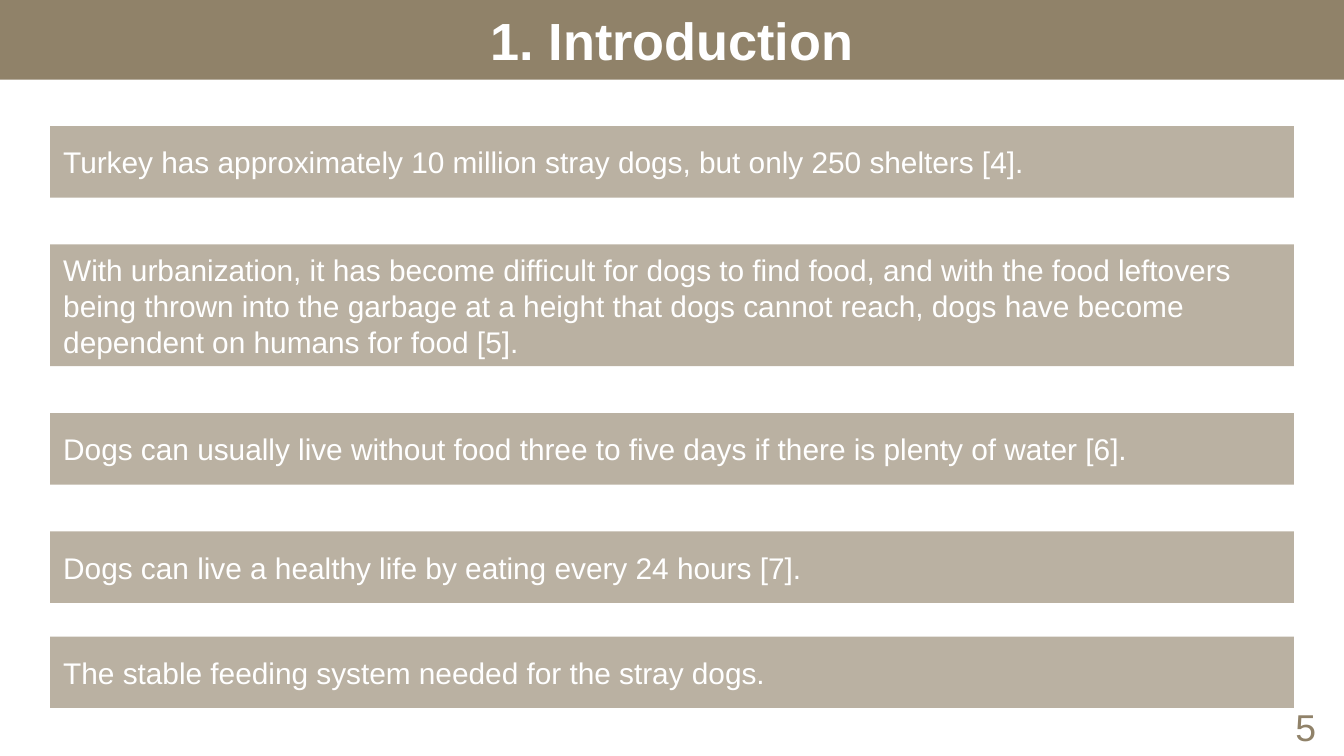
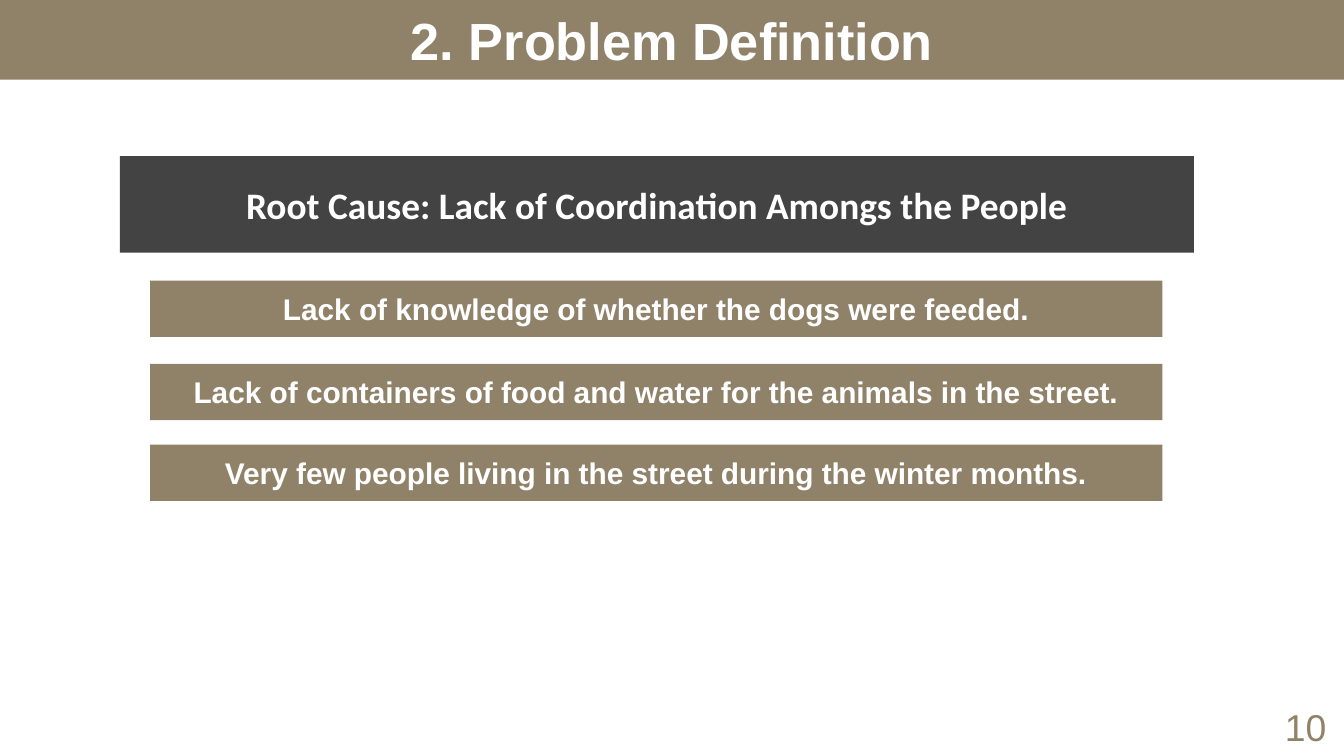
"""Build the introduction and problem definition slides on stray dogs."""
from dataclasses import dataclass
from lxml.etree import SubElement
from pptx import Presentation
from pptx.dml.color import RGBColor
from pptx.enum.shapes import MSO_SHAPE
from pptx.enum.text import MSO_ANCHOR, PP_ALIGN
from pptx.oxml.ns import qn
from pptx.util import Pt


@dataclass(frozen=True)
class Theme:
    tan: RGBColor = RGBColor(0x90, 0x82, 0x69)
    dark: RGBColor = RGBColor(0x43, 0x43, 0x43)
    white: RGBColor = RGBColor(0xFF, 0xFF, 0xFF)
    font: str = "Arial"
    accent: str = "Calibri"
    title: int = 28
    head: int = 20
    body: int = 16


theme = Theme()


def write(shape, text, size, color, bold=False, font=theme.font, align=PP_ALIGN.CENTER):
    frame = shape.text_frame
    frame.word_wrap = True
    frame.text = text
    line = frame.paragraphs[0]
    line.alignment = align
    face = line.runs[0].font
    face.name, face.size, face.bold = font, Pt(size), bold
    face.color.rgb = color


def add_bar(slide, left, top, width, height, fill):
    bar = slide.shapes.add_shape(
        MSO_SHAPE.RECTANGLE, Pt(left), Pt(top), Pt(width), Pt(height))
    bar.shadow.inherit = False
    bar.fill.solid()
    bar.fill.fore_color.rgb = fill
    bar.line.fill.background()
    frame = bar.text_frame
    frame.vertical_anchor = MSO_ANCHOR.MIDDLE
    frame.margin_left = frame.margin_right = Pt(7.2)
    frame.margin_top = frame.margin_bottom = Pt(7.2)
    return bar


deck = Presentation()
deck.slide_width, deck.slide_height = Pt(720), Pt(405)

slides = []
for title, page in (("1. Introduction", "5"), ("2. Problem Definition", "10")):
    slide = deck.slides.add_slide(deck.slide_layouts[6])
    band = add_bar(slide, 0, -0.5, 720, 43.2, theme.tan)
    write(band, title, theme.title, theme.white, bold=True)
    number = slide.shapes.add_textbox(Pt(679), Pt(373.5), Pt(41), Pt(31.5))
    write(number, page, theme.head, theme.tan)
    slides.append(slide)
intro, problem = slides

facts = (
    ("Turkey has approximately 10 million stray dogs, but only 250 shelters [4].", 38.3, 25.1),
    ("With urbanization, it has become difficult for dogs to find food, and with the "
     "food leftovers being thrown into the garbage at a height that dogs cannot reach, "
     "dogs have become dependent on humans for food [5].", 65.2, 25.1),
    ("Dogs can usually live without food three to five days if there is plenty of "
     "water [6].", 38.3, 25.1),
    ("Dogs can live a healthy life by eating every 24 hours [7].", 38.3, 18),
    ("The stable feeding system needed for the stray dogs.", 38.3, 0),
)
top = 67.6
for text, height, gap in facts:
    bar = add_bar(intro, 26.8, top, 666.4, height, theme.tan)
    tint = bar.fill._xPr.find(qn("a:solidFill"))[0]
    SubElement(tint, qn("a:alpha"), val="62000")
    write(bar, text, theme.body, theme.white, align=PP_ALIGN.LEFT)
    top += height + gap

root = add_bar(problem, 64.2, 83.6, 575.4, 51.8, theme.dark)
write(root, "Root Cause: Lack of Coordination Amongs the People",
      theme.head, theme.white, bold=True, font=theme.accent)

causes = (
    (150.3, "Lack of knowledge of whether the dogs were feeded."),
    (194.9, "Lack of containers of food and water for the animals in the street."),
    (238.2, "Very few people living in the street during the winter months."),
)
for top, text in causes:
    bar = add_bar(problem, 80.4, top, 542.3, 30.2, theme.tan)
    write(bar, text, theme.body, theme.white, bold=True)

deck.save("out.pptx")
